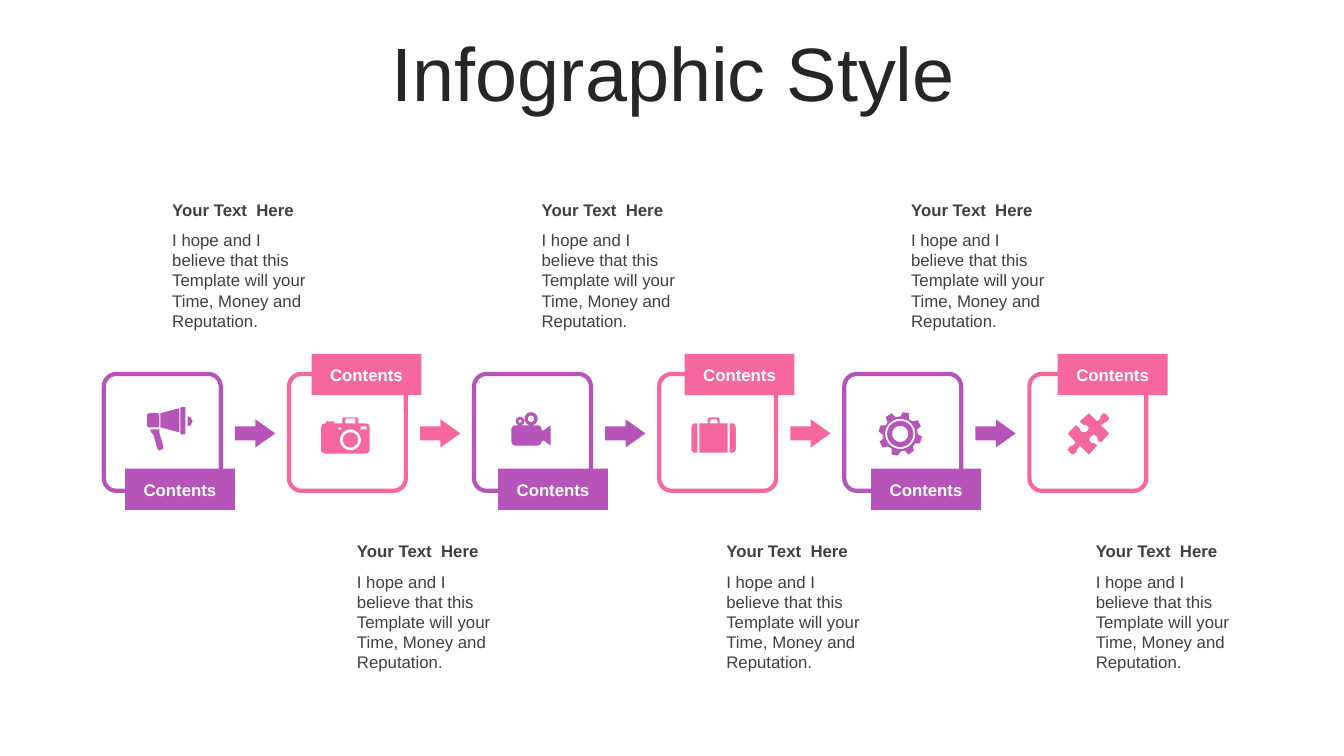
from math import cos, pi, sin

from pptx import Presentation
from pptx.dml.color import RGBColor
from pptx.enum.shapes import MSO_SHAPE
from pptx.enum.text import MSO_ANCHOR, PP_ALIGN
from pptx.util import Inches, Pt

COLORS = {"purple": "B754BA", "pink": "F5679D", "white": "FFFFFF",
          "title": "262626", "text": "404040"}
HEADING = "Your Text  Here"
BODY = "I hope and I believe that this Template will your Time, Money and Reputation."
STEP_COUNT = 6


def rounded(left, top, width, height, radius):
    """Outline points of a rectangle with rounded corners."""
    corners = ((left + width - radius, top + height - radius),
               (left + radius, top + height - radius),
               (left + radius, top + radius),
               (left + width - radius, top + radius))
    return [(x + radius * cos((quarter + part / 8) * pi / 2),
             y + radius * sin((quarter + part / 8) * pi / 2))
            for quarter, (x, y) in enumerate(corners) for part in range(9)]


def disc(x, y, radius):
    return rounded(x - radius, y - radius, 2 * radius, 2 * radius, radius)


# Each icon: offset from its frame in inches, then outlines in hundredths of an inch.
MEGAPHONE = ((0.43, 0.33), [
    [(12, 22), (12, 25), (16, 39), (16, 41), (14, 42), (12, 43), (10, 41),
     (6, 27), (4, 25), (3, 22)],
    [(40, 9), (43, 10), (45, 14), (43, 18), (40, 19)],
    [(32, 1), (32, 25), (13, 20), (13, 6)],
    rounded(0, 6, 12, 14, 2),
    rounded(33, 0, 5, 27, 1),
])
CAMERA = ((0.32, 0.43), [
    [(22, 0), (36, 0), (37, 1), (37, 6), (44, 6), (47, 7), (48, 10), (48, 33),
     (47, 35), (44, 36), (4, 36), (1, 35), (0, 33), (0, 10), (1, 7), (4, 6),
     (5, 6), (5, 4), (13, 4), (13, 6), (21, 6), (21, 1)],
    disc(29, 22.4, 10.4),
    disc(29, 22.4, 7.5),
    rounded(17, 10, 3, 2, 0.2),
    rounded(39, 9, 6, 3, 0.2),
    rounded(24, 1, 10, 5, 0.2),
])
VIDEO = ((0.37, 0.38), [
    rounded(0, 13, 30, 20, 4),
    [(30, 18), (32, 18), (39, 13), (39, 33), (32, 28), (30, 29)],
    disc(8.6, 8.8, 4.2), disc(8.6, 8.8, 1.6),
    disc(19.5, 6.5, 6.5), disc(19.5, 6.5, 3.2),
])
SUITCASE = ((0.32, 0.43), [
    [(38, 6), (41, 6), (43, 7), (44, 10), (44, 32), (43, 34), (41, 35), (38, 35)],
    [(6, 6), (3, 6), (1, 7), (0, 10), (0, 32), (1, 34), (3, 35), (6, 35)],
    [(18, 0), (27, 0), (28, 2), (28, 6), (36, 6), (36, 35), (8, 35), (8, 6),
     (16, 6), (16, 2)],
    [(18, 6), (18, 4), (20, 2), (25, 2), (26, 4), (26, 6)],
])
GEAR = ((0.34, 0.38), [
    [(30, 1), (30, 7), (34, 9), (39, 8), (42, 14), (38, 17), (39, 22), (43, 24),
     (41, 31), (36, 31), (34, 34), (35, 38), (30, 42), (26, 38), (22, 39), (19, 43),
     (13, 42), (13, 36), (9, 34), (4, 35), (1, 29), (5, 26), (4, 22), (0, 19),
     (2, 13), (7, 13), (9, 10), (7, 5), (13, 1), (17, 5), (22, 4), (24, 0)],
    disc(21.5, 21.5, 15), disc(21.5, 21.5, 13), disc(21.5, 21.5, 8),
])
PUZZLE = ((0.38, 0.39), [
    [(39, 2), (41, 5), (39, 8), (36, 9.5), (33, 12), (41, 20), (33, 29), (30, 27),
     (29, 23), (26, 21), (23, 23), (21, 26), (23, 29), (27, 30), (29, 32), (21, 41),
     (12, 32), (10, 35), (8, 39), (5, 41), (2, 39), (0, 36), (2, 33), (5, 32),
     (8, 29), (0, 20), (8, 12), (11, 14), (13, 18), (16, 19), (19, 18), (21, 15),
     (19, 12), (15, 11), (12, 8), (21, 0), (29, 8), (32, 6), (33, 2), (36, 0)],
])
ICONS = (MEGAPHONE, CAMERA, VIDEO, SUITCASE, GEAR, PUZZLE)


def rgb(color):
    return RGBColor.from_string(COLORS[color])


def box(left, top, width, height):
    return [Inches(value) for value in (left, top, width, height)]


def write(frame, text, color, size=12, bold=False, **formats):
    """Put one formatted paragraph into a text frame."""
    frame.word_wrap = True
    para = frame.paragraphs[0]
    for name, value in formats.items():
        setattr(para, name, value)
    span = para.add_run()
    span.text = text
    for name, value in {"name": "Arial", "size": Pt(size), "bold": bold}.items():
        setattr(span.font, name, value)
    span.font.color.rgb = rgb(color)


def paint(shape, fill, line=None):
    shape.shadow.inherit = False
    shape.fill.solid()
    shape.fill.fore_color.rgb = rgb(fill)
    if line:
        shape.line.color.rgb = rgb(line)
        shape.line.width = Pt(3)
    else:
        shape.line.fill.background()


def add_title(page, left, top, width, height):
    title = page.shapes.title
    places = zip(("left", "top", "width", "height"), box(left, top, width, height))
    for name, value in places:
        setattr(title, name, value)
    title.text_frame.vertical_anchor = MSO_ANCHOR.MIDDLE
    write(title.text_frame, "Infographic Style", "title", 54,
          alignment=PP_ALIGN.CENTER, line_spacing=0.9, space_before=Pt(10))


def add_caption(page, left, top, width=1.54):
    for text, offset, height, bold in ((HEADING, 0, 0.3, True), (BODY, 0.3, 1.11, False)):
        caption = page.shapes.add_textbox(*box(left, top + offset, width, height))
        write(caption.text_frame, text, "text", bold=bold)


def add_icon(page, left, top, icon, color):
    (across, down), outlines = icon
    fine = [[(x * 100, y * 100) for x, y in outline] for outline in outlines]
    builder = page.shapes.build_freeform(*fine[0][0], scale=Inches(0.01) / 100)
    for number, outline in enumerate(fine):
        if number:
            builder.move_to(*outline[0])
        builder.add_line_segments(outline[1:], close=True)
    paint(builder.convert_to_shape(Inches(left + across), Inches(top + down)), color)


def add_frame(page, left, top, size, color):
    frame = page.shapes.add_shape(MSO_SHAPE.ROUNDED_RECTANGLE, *box(left, top, size, size))
    frame.adjustments[0] = 0.107
    paint(frame, "white", color)


def add_tag(page, left, top, color):
    tag = page.shapes.add_shape(MSO_SHAPE.RECTANGLE, *box(left, top, 1.09, 0.41))
    paint(tag, color)
    tag.text_frame.vertical_anchor = MSO_ANCHOR.MIDDLE
    write(tag.text_frame, "Contents", "white", bold=True, alignment=PP_ALIGN.CENTER)


def add_arrow(page, left, top, color):
    arrow = page.shapes.add_shape(MSO_SHAPE.RIGHT_ARROW, *box(left, top, 0.4, 0.28))
    arrow.adjustments[1] = 0.704
    paint(arrow, color)


def add_process(page, left, top):
    """Row of framed steps with tags and captions alternating above and below."""
    for step, icon in enumerate(ICONS):
        upper_tag = step % 2 == 1
        color = "pink" if upper_tag else "purple"
        step_left = left + step * 9.18 / (STEP_COUNT - 1)
        add_caption(page, left + 0.58 + step * 1.832, top + (1.61 if upper_tag else -1.78))
        add_frame(page, step_left, top, 1.16, color)
        add_tag(page, left + 0.21 + step * 1.85, top + (-0.2 if upper_tag else 0.94), color)
        add_icon(page, step_left, top, icon, color)
        if step < STEP_COUNT - 1:
            add_arrow(page, step_left + 1.3, top + 0.45, color)


def main():
    deck = Presentation()
    deck.slide_width, deck.slide_height = Inches(13.33), Inches(7.5)
    page = deck.slides.add_slide(deck.slide_layouts[5])
    add_title(page, 0.35, 0.37, 12.66, 0.79)
    add_process(page, 1.03, 3.71)
    deck.save("out.pptx")


if __name__ == "__main__":
    main()
